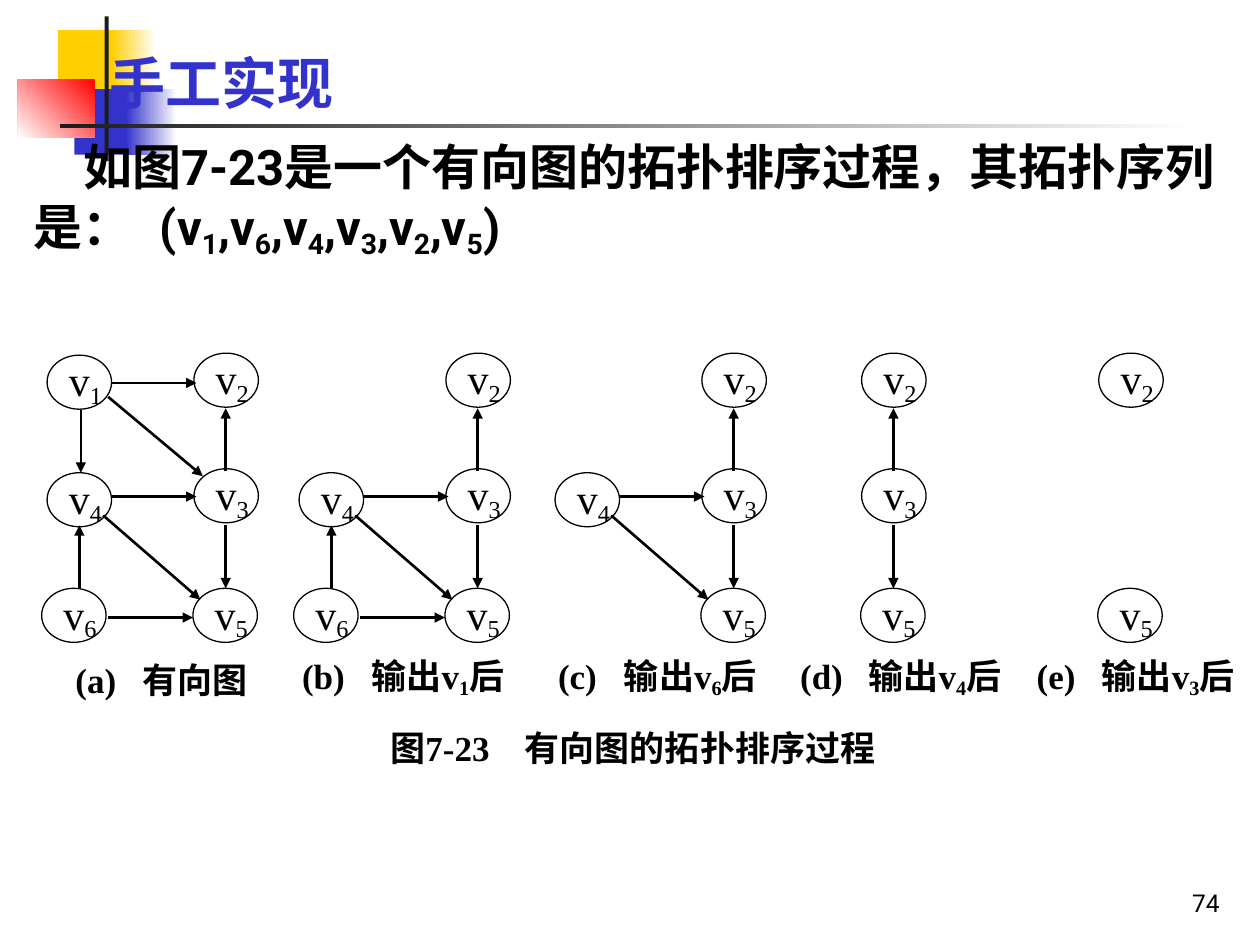
from dataclasses import dataclass

from lxml.etree import SubElement
from pptx import Presentation
from pptx.dml.color import RGBColor as RGB
from pptx.enum.shapes import MSO_CONNECTOR as CONN, MSO_SHAPE as SHAPE
from pptx.enum.text import MSO_ANCHOR as ANCHOR, MSO_AUTO_SIZE as FIT, PP_ALIGN as ALIGN
from pptx.oxml.ns import qn
from pptx.util import Cm, Pt


@dataclass
class Theme:
    black: RGB = RGB(0x00, 0x00, 0x00)
    white: RGB = RGB(0xFF, 0xFF, 0xFF)
    dark: RGB = RGB(0x1C, 0x1C, 0x1C)
    yellow: RGB = RGB(0xFF, 0xCF, 0x01)
    blue: RGB = RGB(0x33, 0x33, 0xCC)
    red: RGB = RGB(0xFF, 0x00, 0x00)
    sans: str = "Roboto"
    serif: str = "Times New Roman"
    cjk: str = "Noto Sans CJK SC"
    title: int = 32
    body: int = 28
    node: int = 24
    caption: int = 20
    number: int = 14


T = Theme()


def write(p, text, size, font, color=T.black, bold=False, tab=None):
    """Fill a paragraph; every second piece between bars is a subscript."""
    if tab:
        tabs = SubElement(p._p.get_or_add_pPr(), qn("a:tabLst"))
        SubElement(tabs, qn("a:tab"), pos=str(Cm(tab)), algn="l")
    for i, piece in enumerate(text.split("|")):
        r = p.add_run()
        r.text = piece
        r.font.size, r.font.name, r.font.bold = Pt(size), font, bold
        r.font.color.rgb = color
        rPr = r._r.get_or_add_rPr()
        SubElement(rPr, qn("a:ea"), typeface=T.cjk)
        if i % 2:
            rPr.set("baseline", "-18000")


prs = Presentation()
prs.slide_width, prs.slide_height = Cm(25.4), Cm(19.05)
layout = prs.slide_layouts[1]
slide = prs.slides.add_slide(layout)
shapes = slide.shapes

# Decoration, kept on the layout behind the text: box, colours, gradient angle
decoration = [
    (1.17, 0.61, 1.22, 1.32, [T.yellow], None),
    (2.24, 0.61, 0.91, 1.32, [T.white, T.yellow], 180),
    (1.50, 1.80, 1.17, 1.32, [T.blue], None),
    (2.54, 1.80, 1.02, 1.32, [T.white, T.blue], 180),
    (0.36, 1.60, 1.55, 1.17, [T.red, T.white], 225),
    (2.11, 0.33, 0.08, 2.92, [T.dark], None),
    (1.22, 2.51, 22.86, 0.08, [T.white, T.dark], 180),
]
for *box, colors, angle in decoration:
    s = shapes.add_shape(SHAPE.RECTANGLE, *map(Cm, box))
    s.shadow.inherit = False
    s.line.fill.background()
    if angle is None:
        s.fill.solid()
        s.fill.fore_color.rgb = colors[0]
    else:
        s.fill.gradient()
        s.fill.gradient_angle = angle
        for stop, color, position in zip(s.fill.gradient_stops, colors, (0, 1)):
            stop.color.rgb, stop.position = color, position
    layout.shapes.element.append(s.element)

# Title and body
title, body = shapes.title, slide.placeholders[1]
title.left, title.top, title.width, title.height = map(Cm, (1.96, 0.76, 21, 1.78))
body.left, body.top, body.width, body.height = map(Cm, (0.43, 2.5, 24.49, 4))
for s, anchor in ((title, ANCHOR.MIDDLE), (body, ANCHOR.TOP)):
    tf = s.text_frame
    tf.auto_size, tf.word_wrap, tf.vertical_anchor = FIT.NONE, True, anchor
    tf.paragraphs[0].alignment = ALIGN.LEFT
write(title.text_frame.paragraphs[0], "手工实现", T.title, T.sans, T.blue, bold=True)

p = body.text_frame.paragraphs[0]
p.space_before, p.line_spacing = Pt(0), Pt(37)
pPr = p._p.get_or_add_pPr()
pPr.set("marL", "0")
pPr.set("indent", str(Cm(1)))
SubElement(pPr, qn("a:buNone"))
write(p, "如图7-23是一个有向图的拓扑排序过程，其拓扑序列是：\t(v|1|,v|6|,v|4|,v|3|,v|2|,v|5|)",
      T.body, T.sans, bold=True, tab=3.91)

# Graph in the first panel: node corners, and edges from tail to arrowhead
nodes = {1: (0.95, 7.16), 2: (3.91, 7.12), 3: (3.91, 9.45),
         4: (0.95, 9.53), 5: (3.89, 11.86), 6: (0.84, 11.86)}
edges = {
    (1, 4): (1.63, 8.26, 1.63, 9.53),
    (3, 5): (4.55, 10.59, 4.55, 11.86),
    (6, 4): (1.60, 11.86, 1.60, 10.59),
    (3, 2): (4.55, 9.50, 4.55, 8.23),
    (6, 5): (2.18, 12.45, 3.89, 12.45),
    (1, 2): (2.26, 7.72, 3.96, 7.72),
    (1, 3): (2.18, 8.00, 4.09, 9.60),
    (4, 5): (2.08, 10.39, 4.04, 12.09),
    (4, 3): (2.26, 10.01, 3.96, 10.01),
}
# Each panel: horizontal offset and the nodes that remain
panels = [(0, {1, 2, 3, 4, 5, 6}), (5.08, {2, 3, 4, 5, 6}),
          (10.24, {2, 3, 4, 5}), (13.46, {2, 3, 5}), (18.24, {2, 5})]
for dx, remaining in panels:
    for n in sorted(remaining):
        x, y = nodes[n]
        s = shapes.add_shape(SHAPE.OVAL, Cm(x + dx), Cm(y), Cm(1.3), Cm(1.09))
        s.shadow.inherit = False
        s.fill.background()
        s.line.color.rgb, s.line.width = T.black, Pt(0.75)
        tf = s.text_frame
        tf.word_wrap, tf.vertical_anchor = False, ANCHOR.MIDDLE
        tf.paragraphs[0].alignment = ALIGN.LEFT
        write(tf.paragraphs[0], f"v|{n}", T.node, T.serif)
    for ends, (x1, y1, x2, y2) in edges.items():
        if remaining.issuperset(ends):
            c = shapes.add_connector(CONN.STRAIGHT, Cm(x1 + dx), Cm(y1), Cm(x2 + dx), Cm(y2))
            c.line.color.rgb, c.line.width = T.black, Pt(1.5)
            SubElement(c.line._get_or_add_ln(), qn("a:tailEnd"), type="triangle")
            SubElement(c.element.spPr, qn("a:effectLst"))

# Captions, each box wide enough for one line: left, top, width, text, tab stop
captions = [
    (1.27, 13.26, 4.5, "(a)\t有向图", 1.36),
    (5.84, 13.21, 4.75, "(b)\t输出v|1|后", 1.4),
    (11.00, 13.21, 4.75, "(c)\t输出v|6|后", 1.33),
    (15.88, 13.21, 4.75, "(d)\t输出v|4|后", 1.38),
    (20.65, 13.21, 4.75, "(e)\t输出v|3|后", 1.31),
    (7.62, 14.63, 10.8, "图7-23\t有向图的拓扑排序过程", 2.71),
]
for x, y, w, text, tab in captions:
    tf = shapes.add_textbox(Cm(x), Cm(y), Cm(w), Cm(0.89)).text_frame
    tf.word_wrap, tf.vertical_anchor, tf.margin_right = True, ANCHOR.MIDDLE, 0
    write(tf.paragraphs[0], text, T.caption, T.serif, bold=True, tab=tab)

# Page number
tf = shapes.add_textbox(Cm(19.56), Cm(17.35), Cm(5.28), Cm(1.27)).text_frame
tf.word_wrap, tf.vertical_anchor = True, ANCHOR.BOTTOM
tf.paragraphs[0].alignment = ALIGN.RIGHT
write(tf.paragraphs[0], "74", T.number, T.sans)

prs.save("out.pptx")
